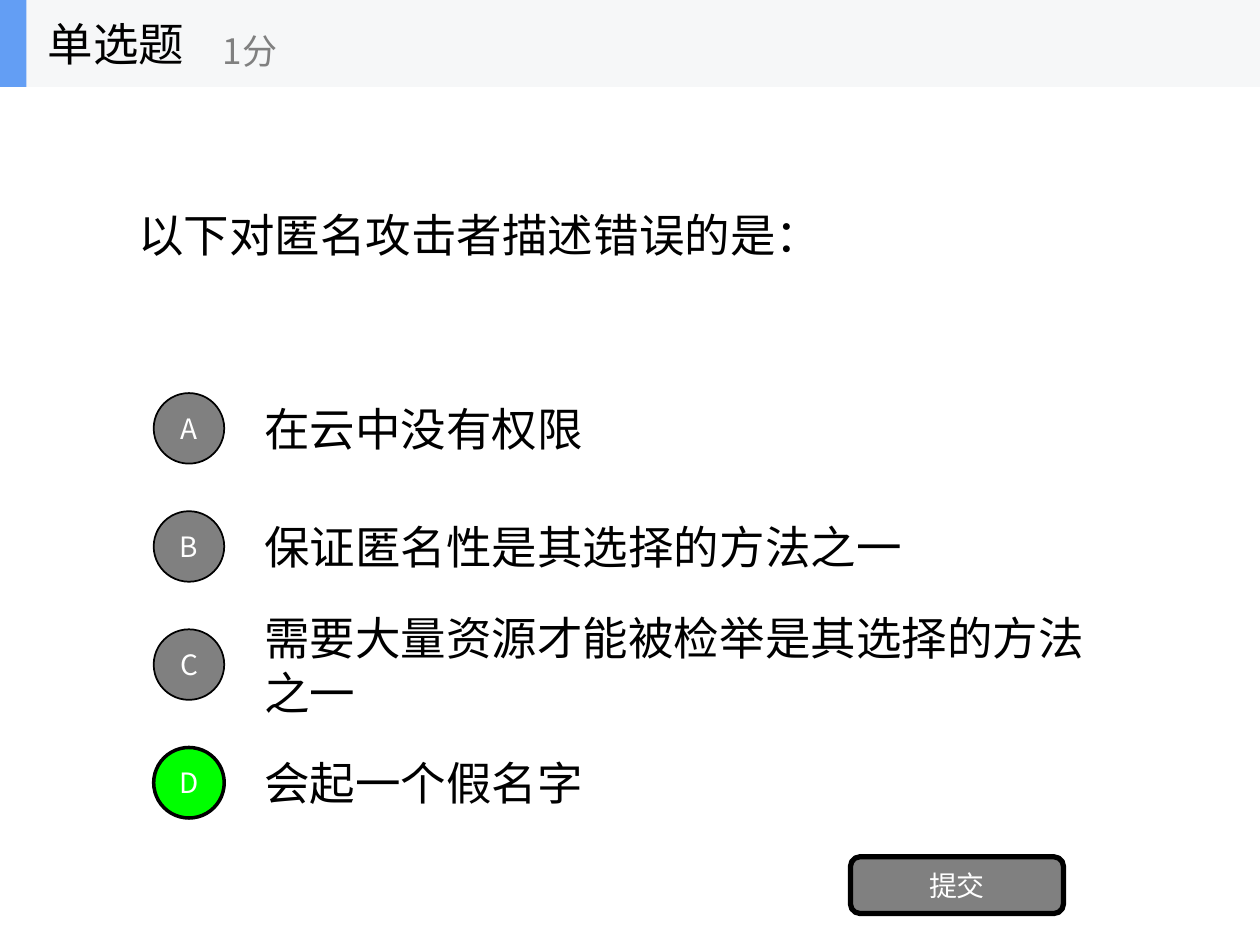
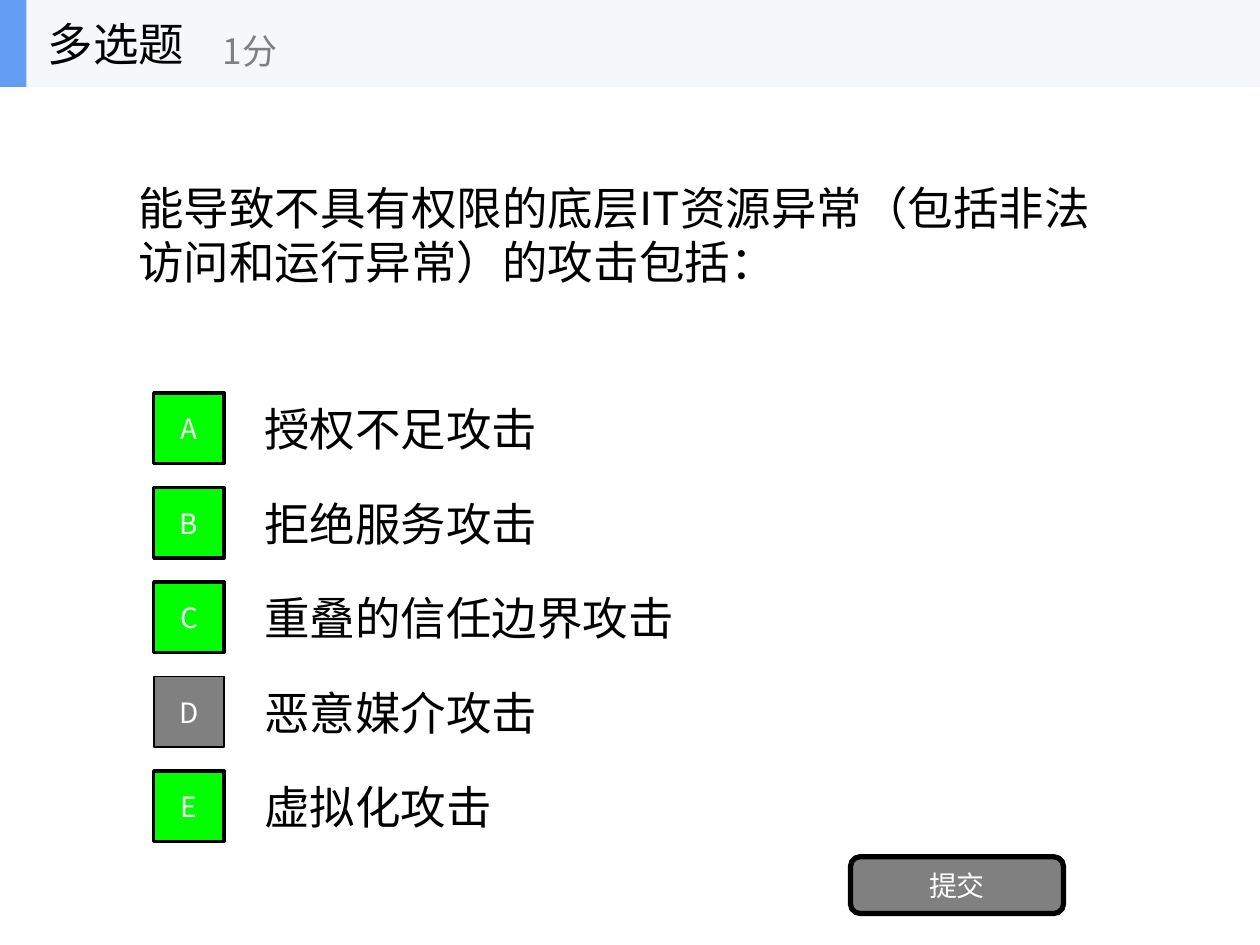
from lxml.etree import SubElement
from pptx import Presentation
from pptx.dml.color import RGBColor
from pptx.enum.shapes import MSO_SHAPE as Shape
from pptx.enum.text import MSO_ANCHOR as Anchor, PP_ALIGN as Align
from pptx.oxml.ns import qn
from pptx.util import Inches, Pt

FONT = "Noto Sans CJK SC"
COLORS = {
    "ink": "000000",
    "band": "F6F7F8",
    "accent": "639EF4",
    "grey": "808080",
    "correct": "00FF00",
    "white": "FFFFFF",
}
COLUMN = 1
BAND_HEIGHT = 0.69
OPTIONS_TOP = 3.05
OPTION_HEIGHT = 0.7
MARKER_SIZE = 0.56
MARKER_LEFT = 1.5 * COLUMN - MARKER_SIZE / 2
MARKER_INSET = (OPTION_HEIGHT - MARKER_SIZE) / 2

QUESTIONS = [
    {
        "kind": "单选题",
        "text": "以下对匿名攻击者描述错误的是：",
        "marker": Shape.OVAL,
        "rows": 8,
        "correct": "D",
        "options": [
            "在云中没有权限",
            "保证匿名性是其选择的方法之一",
            "需要大量资源才能被检举是其选择的方法之一",
            "会起一个假名字",
        ],
    },
    {
        "kind": "多选题",
        "text": "能导致不具有权限的底层IT资源异常（包括非法访问和运行异常）的攻击包括：",
        "marker": Shape.RECTANGLE,
        "rows": 10,
        "correct": "ABCE",
        "options": [
            "授权不足攻击",
            "拒绝服务攻击",
            "重叠的信任边界攻击",
            "恶意媒介攻击",
            "虚拟化攻击",
        ],
    },
]


def write(shape, text, size, color, align=Align.LEFT):
    frame = shape.text_frame
    frame.word_wrap = True
    frame.vertical_anchor = Anchor.MIDDLE
    paragraph = frame.paragraphs[0]
    paragraph.text = text
    paragraph.alignment = align
    paragraph.font.size = Pt(size)
    paragraph.font.name = FONT
    paragraph.font.color.rgb = RGBColor.from_string(COLORS[color])
    properties = paragraph._p.pPr.find(qn("a:defRPr"))
    SubElement(properties, qn("a:ea")).set("typeface", FONT)


def add_box(slide, kind, box, fill, line_width=0):
    shape = slide.shapes.add_shape(kind, *map(Inches, box))
    shape.shadow.inherit = False
    shape.fill.solid()
    shape.fill.fore_color.rgb = RGBColor.from_string(COLORS[fill])
    if line_width:
        shape.line.color.rgb = RGBColor.from_string(COLORS["ink"])
        shape.line.width = Pt(line_width)
    else:
        shape.line.fill.background()
    return shape


presentation = Presentation()
presentation.slide_width = Inches(10)
presentation.slide_height = Inches(7.5)

for question in QUESTIONS:
    slide = presentation.slides.add_slide(presentation.slide_layouts[6])

    add_box(slide, Shape.RECTANGLE, (0, 0, 10 * COLUMN, BAND_HEIGHT), "band")
    add_box(slide, Shape.RECTANGLE, (0, 0, 0.21, BAND_HEIGHT), "accent")

    labels = [
        (question["kind"], (0.28, 0, 2.08, BAND_HEIGHT), 26, "ink"),
        ("1分", (1.67, 0.12, 2.5, 0.56), 20, "grey"),
        (question["text"], (COLUMN, BAND_HEIGHT, 8 * COLUMN, 2.34), 26, "ink"),
    ]
    for text, box, size, color in labels:
        write(slide.shapes.add_textbox(*map(Inches, box)), text, size, color)

    row_height = 7.5 / question["rows"]
    for index, (letter, option) in enumerate(zip("ABCDE", question["options"])):
        top = OPTIONS_TOP + index * row_height
        option_box = (2 * COLUMN, top, 7 * COLUMN, OPTION_HEIGHT)
        write(slide.shapes.add_textbox(*map(Inches, option_box)), option, 26, "ink")

        fill, line_width = ("correct", 2) if letter in question["correct"] else ("grey", 1)
        marker_box = (MARKER_LEFT, top + MARKER_INSET, MARKER_SIZE, MARKER_SIZE)
        marker = add_box(slide, question["marker"], marker_box, fill, line_width)
        write(marker, letter, 16, "white", Align.CENTER)

    submit = add_box(slide, Shape.ROUNDED_RECTANGLE, (6.75, 6.8, 1.69, 0.45), "grey", 3)
    write(submit, "提交", 16, "white", Align.CENTER)

presentation.save("out.pptx")
